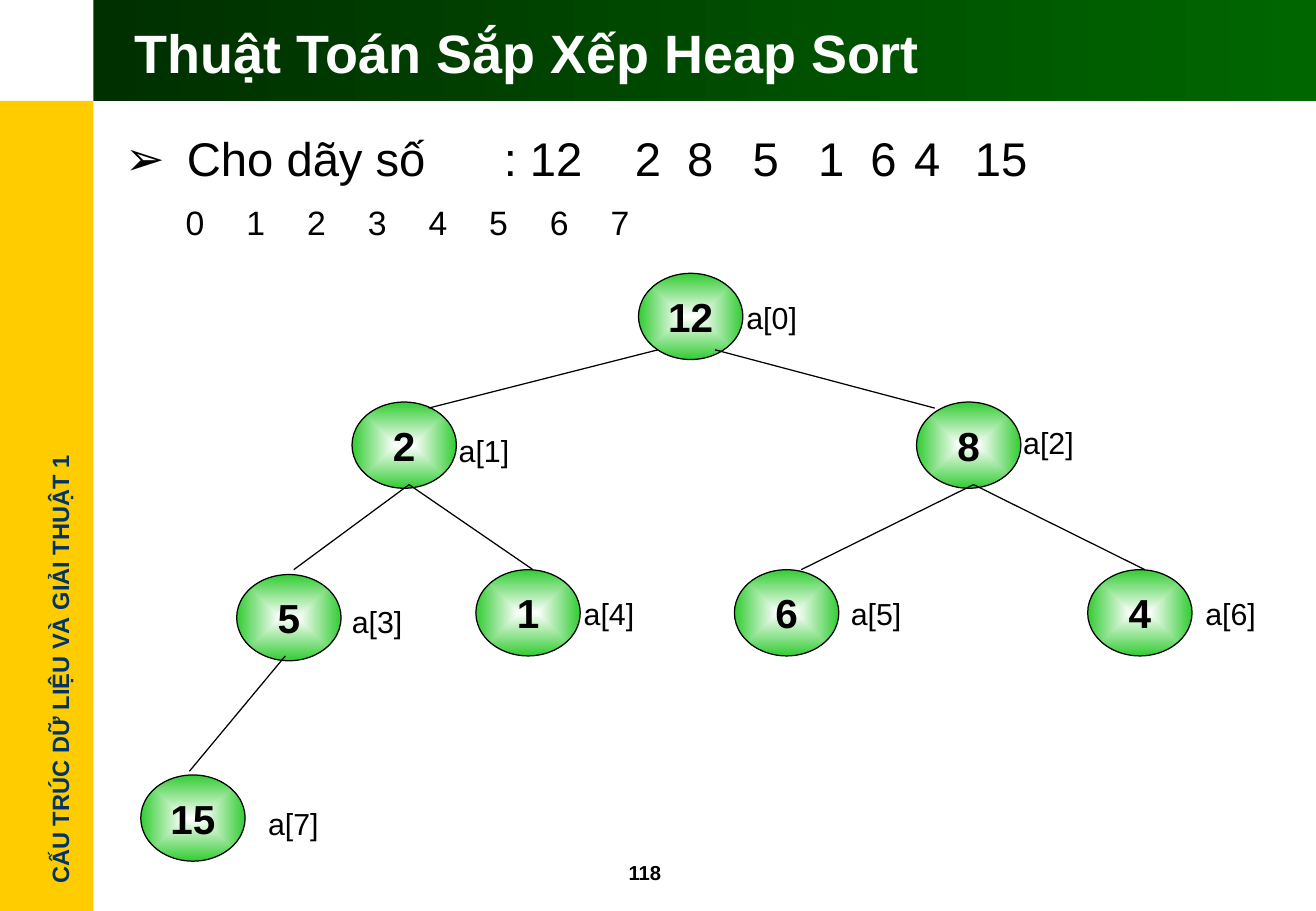
import pptx
import pptx.util
import pptx.dml.color
import pptx.enum.shapes
import pptx.enum.text
import pptx.oxml
import pptx.oxml.ns

Inches = pptx.util.Inches
Pt = pptx.util.Pt
RGBColor = pptx.dml.color.RGBColor
SHAPE = pptx.enum.shapes.MSO_SHAPE
ALIGN = pptx.enum.text.PP_ALIGN
ANCHOR = pptx.enum.text.MSO_ANCHOR
AUTO = pptx.enum.text.MSO_AUTO_SIZE
qn = pptx.oxml.ns.qn

BLACK = RGBColor(0x00, 0x00, 0x00)
WHITE = RGBColor(0xFF, 0xFF, 0xFF)
YELLOW = RGBColor(0xFF, 0xCC, 0x00)
NAVY = RGBColor(0x00, 0x33, 0x66)
DARK_GREEN = RGBColor(0x00, 0x2F, 0x00)
GREEN = RGBColor(0x00, 0x66, 0x00)
NODE_GREEN = RGBColor(0x33, 0xCC, 0x33)
NS = 'xmlns:a="http://schemas.openxmlformats.org/drawingml/2006/main"'


def write(p, text, size=18, color=BLACK, bold=False, align=ALIGN.LEFT):
    p.alignment = align
    r = p.add_run()
    r.text = text
    r.font.name = "Arial"
    r.font.size = Pt(size)
    r.font.bold = bold
    r.font.color.rgb = color


def add_label(s, text, left, top, width, height, wrap=True, **fmt):
    sp = s.shapes.add_textbox(Inches(left), Inches(top), Inches(width), Inches(height))
    sp.text_frame.word_wrap = wrap
    write(sp.text_frame.paragraphs[0], text, **fmt)
    return sp


prs = pptx.Presentation()
prs.slide_width = Inches(10.84)
prs.slide_height = Inches(7.5)
s = prs.slides.add_slide(prs.slide_layouts[1])
title, body = s.placeholders[0], s.placeholders[1]

sidebar = s.shapes.add_shape(SHAPE.RECTANGLE, 0, Inches(0.83), Inches(0.77), Inches(6.67))
sidebar.fill.solid()
sidebar.fill.fore_color.rgb = YELLOW
header = s.shapes.add_shape(SHAPE.RECTANGLE, Inches(0.77), 0, Inches(10.07), Inches(0.83))
header.fill.gradient()
header.fill.gradient_angle = 0
for stop, color in zip(header.fill.gradient_stops, (DARK_GREEN, GREEN)):
    stop.color.rgb = color
for sp in (sidebar, header):
    sp.line.fill.background()
    sp.shadow.inherit = False
    title.element.addprevious(sp.element)

title.left, title.top, title.width, title.height = map(Inches, (1.01, 0.09, 9.61, 0.67))
tf = title.text_frame
tf.auto_size = AUTO.NONE
tf.vertical_anchor = ANCHOR.MIDDLE
write(tf.paragraphs[0], "Thuật Toán Sắp Xếp Heap Sort", size=32, color=WHITE, bold=True)

body.left, body.top, body.width, body.height = map(Inches, (0.93, 1.07, 9.53, 1.1))
tf = body.text_frame
tf.auto_size = AUTO.NONE
rows = [
    ("Cho dãy số\t: 12\t2\t8\t5\t1\t6\t4\t15", 28, 0, 0.51,
     '<a:buChar %s char="➢"/>', (2.14, 3.12, 3.66, 4.2, 4.63, 5.17, 5.71, 6.14)),
    ("\t0\t1\t2\t3\t4\t5\t6\t7", 20, 11.5, 0,
     '<a:buNone %s/>', (3.61, 4.23, 4.77, 5.31, 5.77, 6.39, 6.85, 7.39)),
]
for i, (text, size, before, indent, bullet, stops) in enumerate(rows):
    p = tf.paragraphs[0] if i == 0 else tf.add_paragraph()
    p.line_spacing = 0.9
    p.space_before = Pt(before)
    pPr = p._p.get_or_add_pPr()
    pPr.set("marL", str(Inches(indent)))
    pPr.set("indent", str(-Inches(indent)))
    tabs = "".join(f'<a:tab pos="{Inches(x)}" algn="l"/>' for x in stops)
    pPr.append(pptx.oxml.parse_xml(bullet % NS))
    pPr.append(pptx.oxml.parse_xml(f"<a:tabLst {NS}>{tabs}</a:tabLst>"))
    write(p, text, size=size)

course = add_label(s, "CẤU TRÚC DỮ LIỆU VÀ GIẢI THUẬT 1", -1.37, 5.34, 3.73, 0.34,
                   wrap=False, size=14, color=NAVY, bold=True)
course.rotation = 270
add_label(s, "118", 5.08, 7.03, 0.83, 0.3, size=12, bold=True)

nodes = [
    ("12", 5.26, 2.25, 6.05, 2.41),
    ("2", 2.9, 3.31, 3.68, 3.51),
    ("8", 7.55, 3.31, 8.33, 3.44),
    ("5", 1.95, 4.73, 2.8, 4.92),
    ("1", 3.92, 4.69, 4.71, 4.85),
    ("6", 6.05, 4.69, 6.91, 4.85),
    ("4", 8.96, 4.69, 9.83, 4.85),
    ("15", 1.16, 6.38, 2.11, 6.58),
]
for i, (value, left, top, label_left, label_top) in enumerate(nodes):
    sp = s.shapes.add_shape(SHAPE.OVAL, Inches(left), Inches(top), Inches(0.86), Inches(0.71))
    sp.shadow.inherit = False
    sp.fill.gradient()
    for stop, color in zip(sp.fill.gradient_stops, (WHITE, NODE_GREEN)):
        stop.color.rgb = color
    grad = sp.element.spPr.find(qn("a:gradFill"))
    grad.replace(grad.find(qn("a:lin")), pptx.oxml.parse_xml(
        f'<a:path {NS} path="rect"><a:fillToRect l="50000" t="50000" r="50000" b="50000"/></a:path>'))
    sp.line.color.rgb = BLACK
    sp.line.width = Pt(0.75)
    sp.text_frame.vertical_anchor = ANCHOR.MIDDLE
    write(sp.text_frame.paragraphs[0], value, size=24, bold=True, align=ALIGN.CENTER)
    add_label(s, f"a[{i}]", label_left, label_top, 0.87, 0.4)

edges = [
    (5.42, 2.88, 3.53, 3.36),
    (5.89, 2.88, 7.7, 3.36),
    (3.37, 3.99, 2.42, 4.69),
    (3.37, 3.99, 4.39, 4.69),
    (8.02, 3.99, 6.6, 4.69),
    (8.02, 3.99, 9.43, 4.69),
    (2.35, 5.4, 1.56, 6.35),
]
for ends in edges:
    edge = s.shapes.add_connector(pptx.enum.shapes.MSO_CONNECTOR.STRAIGHT, *map(Inches, ends))
    edge.line.color.rgb = BLACK
    edge.line.width = Pt(0.75)
    edge.element.spPr.append(pptx.oxml.parse_xml(f"<a:effectLst {NS}/>"))

prs.save("out.pptx")
